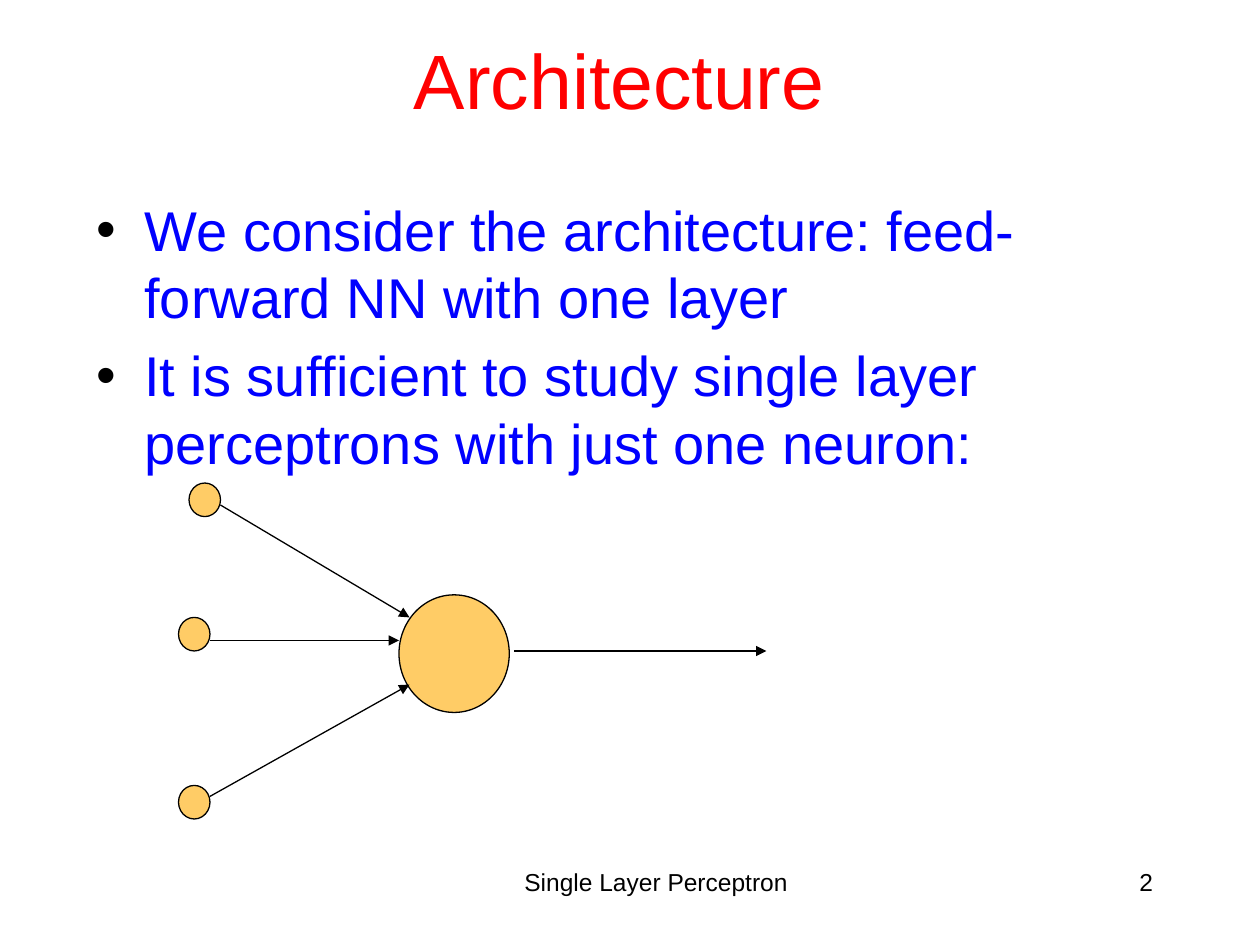
from dataclasses import dataclass

from lxml import etree
from pptx import Presentation
from pptx import util as u
from pptx.dml.color import RGBColor
from pptx.enum import shapes, text
from pptx.oxml import ns

COLUMNS, ROWS = 120, 90


@dataclass(frozen=True)
class Theme:
    font: str = "Arial"
    ink: str = "000000"
    heading: str = "FF0000"
    statement: str = "0000FF"
    neuron: str = "FFCC66"
    title_size: float = 44
    body_size: float = 32
    footer_size: float = 14
    paragraph_gap: float = 6.4
    stroke: float = 0.75
    indent: float = 0.38


class SlideBuilder:
    def __init__(self, deck, theme):
        self.theme = theme
        self.column = deck.slide_width / COLUMNS
        self.row = deck.slide_height / ROWS
        self.slide = deck.slides.add_slide(deck.slide_layouts[1])
        self.diagram = self.slide.shapes.add_group_shape().shapes

    def cells(self, *lengths):
        units = (self.column, self.row) * (len(lengths) // 2)
        return [round(length * unit) for length, unit in zip(lengths, units)]

    def add_words(self, paragraph, words, size, color, align):
        paragraph.alignment = align
        run = paragraph.add_run()
        run.text = words
        run.font.name = self.theme.font
        run.font.size = u.Pt(size)
        run.font.color.rgb = RGBColor.from_string(color)

    def place(self, holder, area, anchor):
        holder.left, holder.top, holder.width, holder.height = self.cells(*area)
        frame = holder.text_frame
        frame.word_wrap = True
        frame.auto_size = text.MSO_AUTO_SIZE.NONE
        frame.vertical_anchor = anchor
        return frame

    def title(self, words, area):
        frame = self.place(self.slide.shapes.title, area, text.MSO_ANCHOR.MIDDLE)
        self.add_words(frame.paragraphs[0], words, self.theme.title_size,
                       self.theme.heading, text.PP_ALIGN.CENTER)

    def bullets(self, statements, area):
        frame = self.place(self.slide.placeholders[1], area, text.MSO_ANCHOR.TOP)
        for index, statement in enumerate(statements):
            paragraph = frame.add_paragraph() if index else frame.paragraphs[0]
            paragraph.space_before = u.Pt(self.theme.paragraph_gap if index else 0)
            self.bullet(paragraph)
            self.add_words(paragraph, statement, self.theme.body_size,
                           self.theme.statement, text.PP_ALIGN.LEFT)

    def bullet(self, paragraph):
        properties = paragraph._p.get_or_add_pPr()
        indent = u.Inches(self.theme.indent)
        properties.set("marL", str(indent))
        properties.set("indent", str(-indent))
        color = etree.SubElement(properties, ns.qn("a:buClr"))
        etree.SubElement(color, ns.qn("a:srgbClr"), val=self.theme.ink)
        etree.SubElement(properties, ns.qn("a:buFont"), typeface=self.theme.font)
        etree.SubElement(properties, ns.qn("a:buChar"), char="•")

    def footer(self, words, area, align):
        box = self.slide.shapes.add_textbox(*self.cells(*area))
        frame = self.place(box, area, text.MSO_ANCHOR.TOP)
        self.add_words(frame.paragraphs[0], words, self.theme.footer_size,
                       self.theme.ink, align)

    def outline(self, line):
        line.color.rgb = RGBColor.from_string(self.theme.ink)
        line.width = u.Pt(self.theme.stroke)

    def node(self, *area):
        ellipse = self.diagram.add_shape(shapes.MSO_SHAPE.OVAL, *self.cells(*area))
        ellipse.shadow.inherit = False
        ellipse.fill.solid()
        ellipse.fill.fore_color.rgb = RGBColor.from_string(self.theme.neuron)
        self.outline(ellipse.line)

    def arrow(self, *ends):
        signal = self.diagram.add_connector(
            shapes.MSO_CONNECTOR.STRAIGHT, *self.cells(*ends))
        self.outline(signal.line)
        properties = signal._element.spPr
        etree.SubElement(properties.find(ns.qn("a:ln")), ns.qn("a:tailEnd"),
                         type="triangle")
        etree.SubElement(properties, ns.qn("a:effectLst"))


def main():
    deck = Presentation()
    deck.slide_width, deck.slide_height = u.Inches(10), u.Inches(7.5)
    builder = SlideBuilder(deck, Theme())

    builder.title("Architecture", (8, 0, 102, 15))
    builder.bullets((
        "We consider the architecture: feed-forward NN with one layer",
        "It is sufficient to study single layer perceptrons with just one neuron:",
    ), (8, 18, 102, 23))
    builder.footer("Single Layer Perceptron", (42, 82, 41, 6), text.PP_ALIGN.CENTER)
    builder.footer("2", (86, 82, 25, 6), text.PP_ALIGN.RIGHT)

    for column, row in ((18, 46), (17, 58.8), (17, 74.8)):
        builder.node(column, row, 3, 3.2)
    builder.node(38, 56.65, 10.5, 11.2)

    input_signals = ((21, 48.1, 39, 58.8), (20, 61, 38, 61), (20, 75.85, 39, 65.2))
    output_signal = (49, 62, 73, 62)
    for ends in (*input_signals, output_signal):
        builder.arrow(*ends)

    deck.save("out.pptx")


if __name__ == "__main__":
    main()
